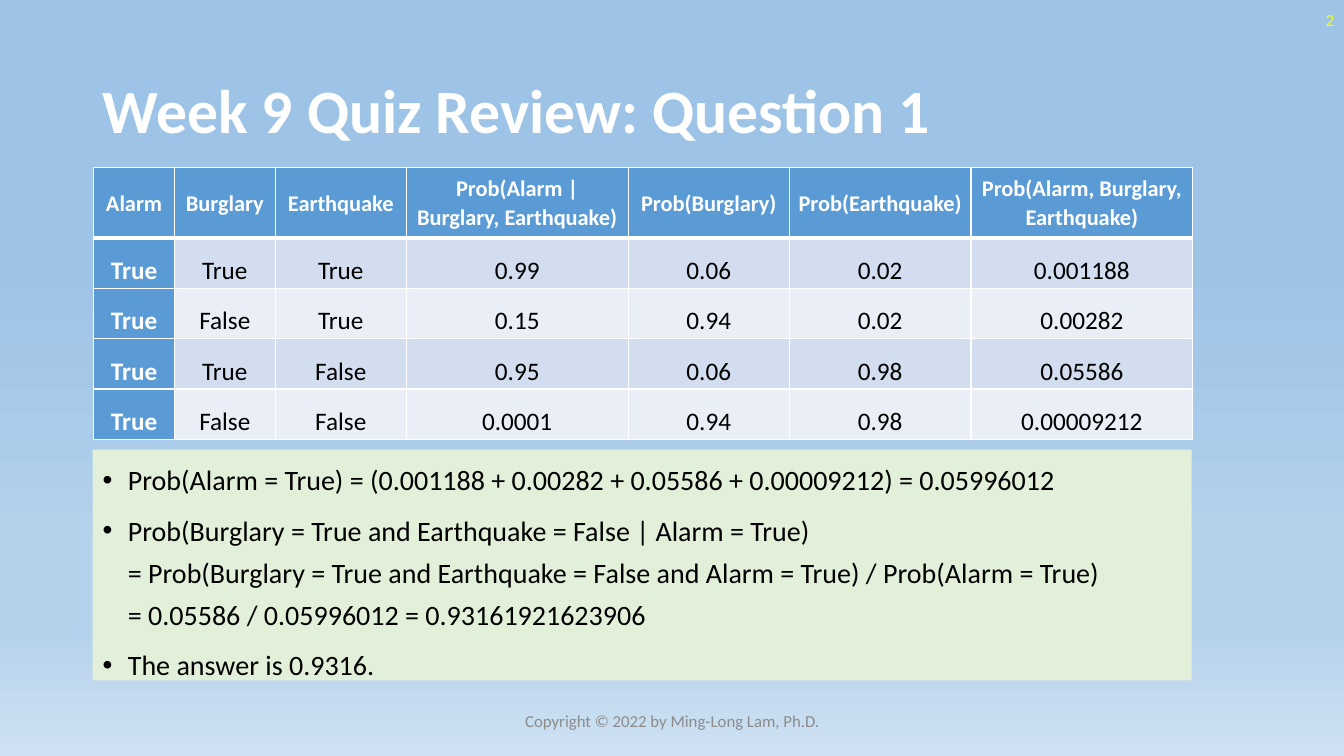
import pptx
import pptx.dml.color
import pptx.enum.shapes
import pptx.enum.text
import pptx.oxml.ns
import pptx.util
from lxml import etree

Inches, Pt = pptx.util.Inches, pptx.util.Pt
qn = pptx.oxml.ns.qn
ALIGN = pptx.enum.text.PP_ALIGN
MIDDLE = pptx.enum.text.MSO_ANCHOR.MIDDLE
COLOURS = {
    "white": "FFFFFF", "black": "000000", "yellow": "FFFF00", "grey": "8C8C8C",
    "blue": "5B9BD5", "band": "D2DEEF", "pale band": "EAEFF7", "green": "E2F0D9",
}
SKY = [(35, "9DC3E6"), (74, "B5D2EC"), (83, "B5D2EC"), (100, "CEE1F2")]
LEFT, WIDTH = 0.92, 10.9


def colour(name):
    return pptx.dml.color.RGBColor.from_string(COLOURS[name])


def style(para, size, name, bold=False, align=ALIGN.LEFT, spacing=1.0):
    """Format a paragraph and all of its runs."""
    para.alignment = align
    para.line_spacing = spacing
    for span in para.runs:
        span.font.name = "Calibri"
        span.font.size = Pt(size)
        span.font.bold = bold
        span.font.color.rgb = colour(name)


deck = pptx.Presentation()
deck.slide_width, deck.slide_height = Inches(13.33), Inches(7.5)
page = deck.slides.add_slide(deck.slide_layouts[5])

# Background
sky = page.background.fill
sky.gradient()
sky.gradient_angle = 270
stops = page.element.find(".//" + qn("a:gsLst"))
for stop in list(stops):
    stops.remove(stop)
for percent, shade in SKY:
    stop = etree.SubElement(stops, qn("a:gs"), pos=str(percent * 1000))
    etree.SubElement(stop, qn("a:srgbClr"), val=shade)

# Title
title = page.shapes.title
title.left, title.top = Inches(LEFT), Inches(0.4)
title.width, title.height = Inches(11.5), Inches(1.45)
title.text_frame.text = "Week 9 Quiz Review: Question 1"
title.text_frame.vertical_anchor = MIDDLE
style(title.text_frame.paragraphs[0], 44, "white", bold=True, spacing=0.9)

# Page number and footer
for text, left, top, width, name, align in [
    ("2", 10.33, 0, 3, "yellow", ALIGN.RIGHT),
    ("Copyright © 2022 by Ming-Long Lam, Ph.D.", 4.42, 6.95, 4.5, "grey", ALIGN.CENTER),
]:
    box = page.shapes.add_textbox(Inches(left), Inches(top), Inches(width), Inches(0.4))
    box.text_frame.word_wrap = True
    box.text_frame.vertical_anchor = MIDDLE
    box.text_frame.text = text
    style(box.text_frame.paragraphs[0], 12, name, align=align)

# Worked answer
answer = page.shapes.add_shape(
    pptx.enum.shapes.MSO_SHAPE.RECTANGLE,
    Inches(LEFT), Inches(4.46), Inches(WIDTH), Inches(2.29))
answer.shadow.inherit = False
answer.fill.solid()
answer.fill.fore_color.rgb = colour("green")
answer.line.fill.background()
frame = answer.text_frame
frame.word_wrap = True
frame.vertical_anchor = pptx.enum.text.MSO_ANCHOR.TOP
steps = [
    "Prob(Alarm = True) = (0.001188 + 0.00282 + 0.05586 + 0.00009212) = 0.05996012",
    "Prob(Burglary = True and Earthquake = False | Alarm = True)\v"
    "= Prob(Burglary = True and Earthquake = False and Alarm = True) / Prob(Alarm = True)\v"
    "= 0.05586 / 0.05996012 = 0.93161921623906",
    "The answer is 0.9316.",
]
for index, step in enumerate(steps):
    para = frame.add_paragraph() if index else frame.paragraphs[0]
    para.text = step
    properties = para._p.get_or_add_pPr()
    properties.set("marL", str(Inches(0.25)))
    properties.set("indent", str(-Inches(0.25)))
    etree.SubElement(properties, qn("a:buFont"), typeface="Arial")
    etree.SubElement(properties, qn("a:buChar"), char="•")
    para.space_before = Pt(6 if index else 0)
    style(para, 20, "black", spacing=1.25)

# Probability table
rows = [
    ["Alarm", "Burglary", "Earthquake", "Prob(Alarm | Burglary, Earthquake)",
     "Prob(Burglary)", "Prob(Earthquake)", "Prob(Alarm, Burglary, Earthquake)"],
    ["True", "True", "True", "0.99", "0.06", "0.02", "0.001188"],
    ["True", "False", "True", "0.15", "0.94", "0.02", "0.00282"],
    ["True", "True", "False", "0.95", "0.06", "0.98", "0.05586"],
    ["True", "False", "False", "0.0001", "0.94", "0.98", "0.00009212"],
]
widths = [0.8, 1, 1.3, 2.2, 1.6, 1.8, 2.2]
table = page.shapes.add_table(
    len(rows), len(widths), Inches(0.93), Inches(1.66), Inches(WIDTH), Inches(2.7)).table
for column, width in zip(table.columns, widths):
    column.width = Inches(width)
for r, row in enumerate(rows):
    table.rows[r].height = Inches(0.5 if r else 0.7)
    for c, text in enumerate(row):
        cell = table.cell(r, c)
        heading = r == 0 or c == 0
        cell.text_frame.text = text
        cell.vertical_anchor = MIDDLE
        cell.margin_left = cell.margin_right = Inches(0.07)
        cell.margin_top = cell.margin_bottom = 0
        style(cell.text_frame.paragraphs[0], 18 if r else 16,
              "white" if heading else "black", heading, ALIGN.CENTER, 1.5 if r else 1.07)
        edges = cell._tc.get_or_add_tcPr()
        for side in ("lnL", "lnR", "lnT", "lnB"):
            thick = (r, side) in [(0, "lnB"), (1, "lnT")]
            edge = etree.SubElement(edges, qn("a:" + side), w=str(Pt(3 if thick else 1)))
            paint = etree.SubElement(edge, qn("a:solidFill"))
            etree.SubElement(paint, qn("a:srgbClr"), val=COLOURS["white"])
        cell.fill.solid()
        cell.fill.fore_color.rgb = colour(
            "blue" if heading else "band" if r % 2 else "pale band")

deck.save("out.pptx")
